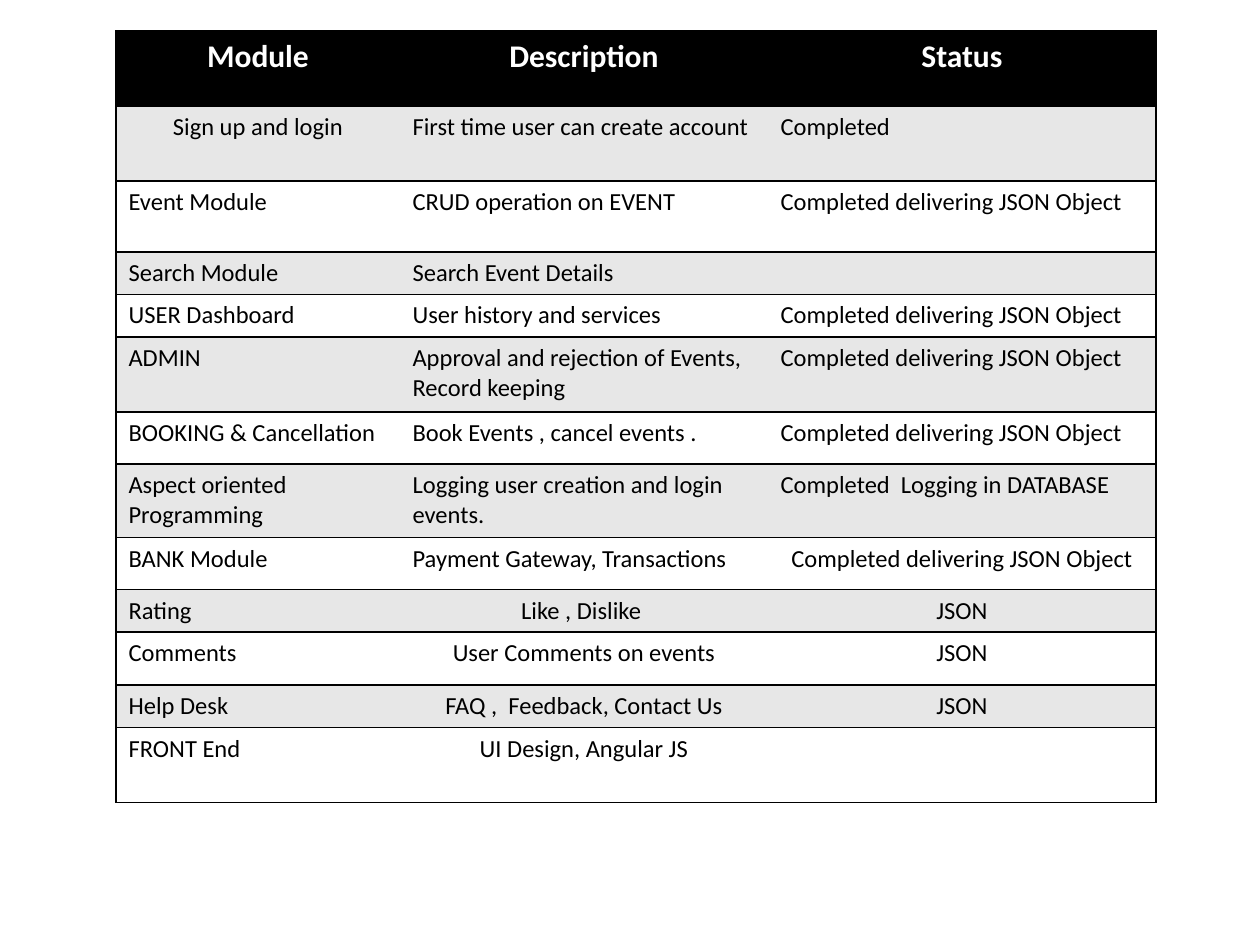
from lxml import etree
from pptx import Presentation
from pptx.dml.color import RGBColor
from pptx.enum.text import PP_ALIGN
from pptx.oxml.ns import qn
from pptx.util import Pt

LEFT, CENTER = PP_ALIGN.LEFT, PP_ALIGN.CENTER
ALIGNMENTS = {"l": LEFT, "c": CENTER}
EMU_PER_PX = 914400 / 126
BLANK_LAYOUT = 6
BLACK, WHITE, GREY = "000000", "FFFFFF", "E7E7E7"
HEADER = {"name": "Calibri", "size": Pt(18), "bold": True}
BODY = {"name": "Calibri", "size": Pt(14), "bold": False}
DELIVERED = "Completed delivering JSON Object"

COLUMN_WIDTHS = [284, 368, 388]
ROWS = [
    (75, "ccc", ["Module", "Description", "Status"]),
    (75, "cll", ["Sign up and login", "First time user can create account", "Completed"]),
    (71, "lll", ["Event Module", "CRUD operation on EVENT", DELIVERED]),
    (42, "lll", ["Search Module", "Search Event Details", ""]),
    (42, "lll", ["USER Dashboard", "User history and services", DELIVERED]),
    (75, "lll", ["ADMIN", "Approval and rejection of Events, Record keeping", DELIVERED]),
    (52, "lll", ["BOOKING & Cancellation", "Book Events , cancel events .", DELIVERED]),
    (74, "lll", ["Aspect oriented Programming", "Logging user creation and login events.",
                 "Completed  Logging in DATABASE"]),
    (52, "llc", ["BANK Module", "Payment Gateway, Transactions", DELIVERED]),
    (42, "lcc", ["Rating", "Like , Dislike ", "JSON"]),
    (53, "lcc", ["Comments", "User Comments on events", "JSON"]),
    (42, "lcc", ["Help Desk", "FAQ ,  Feedback, Contact Us", "JSON"]),
    (75, "lcl", ["FRONT End", "UI Design, Angular JS", ""]),
]


def px(length):
    return round(length * EMU_PER_PX)


def color(value):
    return RGBColor.from_string(value)


class SlideBuilder:
    """Draws styled elements on the current slide."""

    def __init__(self, slide):
        self.slide = slide

    def table(self, left, top, widths, rows):
        heights = [height for height, _, _ in rows]
        shape = self.slide.shapes.add_table(
            len(rows), len(widths), px(left), px(top), px(sum(widths)), px(sum(heights)))
        table = shape.table
        for column, width in zip(table.columns, widths):
            column.width = px(width)
        for row_index, (height, alignments, texts) in enumerate(rows):
            table.rows[row_index].height = px(height)
            fill = BLACK if row_index == 0 else (WHITE, GREY)[row_index % 2]
            for column_index, (alignment, text) in enumerate(zip(alignments, texts)):
                cell = table.cell(row_index, column_index)
                cell.fill.solid()
                cell.fill.fore_color.rgb = color(fill)
                self.cell_text(cell, text, ALIGNMENTS[alignment], row_index == 0)
                self.cell_borders(cell, column_index == 0, column_index == len(widths) - 1)

    def cell_text(self, cell, text, alignment, is_header):
        style = HEADER if is_header else BODY
        paragraph = cell.text_frame.paragraphs[0]
        paragraph.alignment = alignment
        if not text:
            end = etree.SubElement(paragraph._p, qn("a:endParaRPr"))
            end.set("sz", str(style["size"].centipoints))
            return
        run = paragraph.add_run()
        run.text = text
        for name, value in style.items():
            setattr(run.font, name, value)
        run.font.color.rgb = color(WHITE if is_header else BLACK)

    def cell_borders(self, cell, is_first, is_last):
        properties = cell._tc.get_or_add_tcPr()
        visible = {"a:lnL": is_first, "a:lnR": is_last, "a:lnT": True, "a:lnB": True}
        for position, (tag, shown) in enumerate(visible.items()):
            line = etree.Element(qn(tag), w=str(Pt(1)))
            if shown:
                solid = etree.SubElement(line, qn("a:solidFill"))
                etree.SubElement(solid, qn("a:srgbClr"), val=BLACK)
            else:
                etree.SubElement(line, qn("a:noFill"))
            properties.insert(position, line)


def main():
    presentation = Presentation()
    presentation.slide_width = px(1260)
    presentation.slide_height = px(945)
    slide = presentation.slides.add_slide(presentation.slide_layouts[BLANK_LAYOUT])
    SlideBuilder(slide).table(116, 31, COLUMN_WIDTHS, ROWS)
    presentation.save("out.pptx")


if __name__ == "__main__":
    main()
